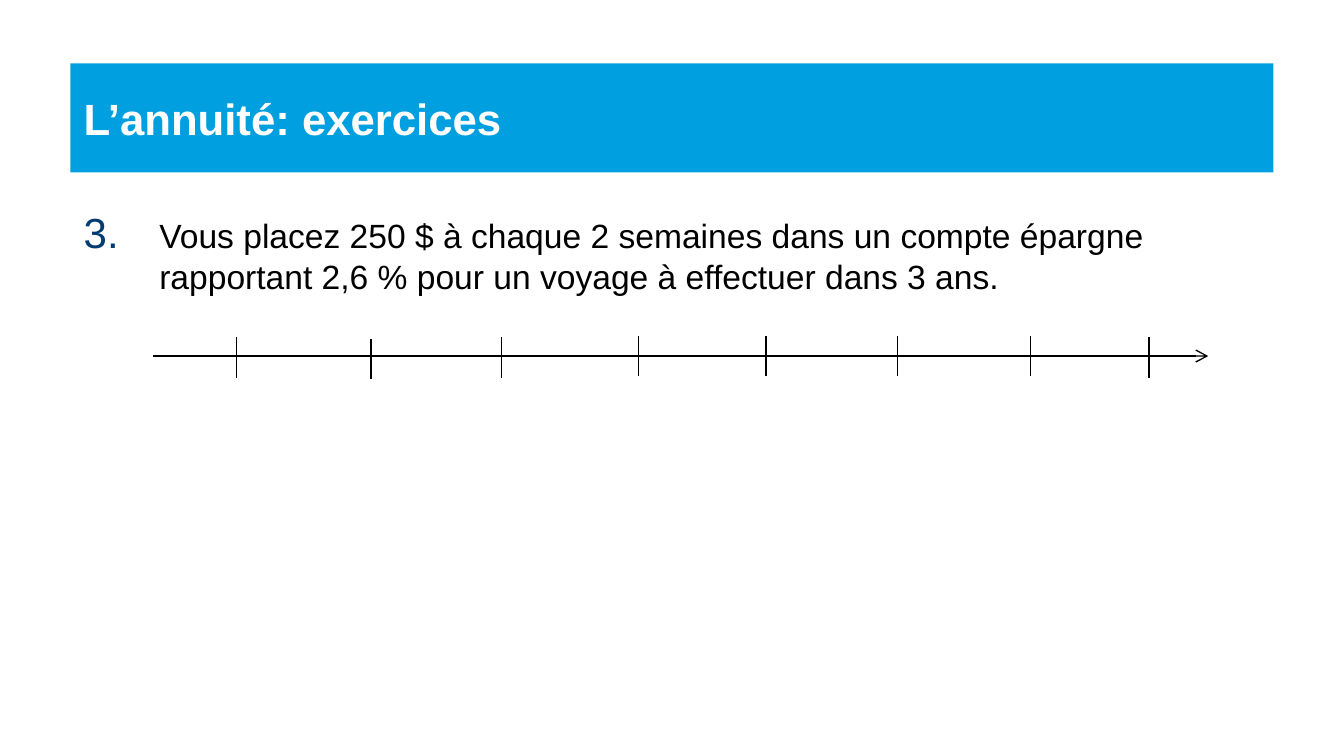
from lxml import etree
from pptx import Presentation
from pptx.dml.color import RGBColor
from pptx.enum.shapes import MSO_CONNECTOR, MSO_SHAPE
from pptx.enum.text import MSO_ANCHOR, PP_ALIGN
from pptx.oxml.ns import qn
from pptx.util import Inches, Pt

STRAIGHT = MSO_CONNECTOR.STRAIGHT
RECTANGLE = MSO_SHAPE.RECTANGLE
TOP, MIDDLE = MSO_ANCHOR.TOP, MSO_ANCHOR.MIDDLE
LEFT = PP_ALIGN.LEFT

THEME = {
    "font": "Arial",
    "banner": "009FDF",
    "title": "FFFFFF",
    "body": "000000",
    "number": "003C71",
    "line": "000000",
    "title_size": 23.4,
    "body_size": 18,
    "line_width": 0.75,
}

deck = Presentation()
deck.slide_width = Inches(10)
deck.slide_height = deck.slide_width * 9 // 16
page = deck.slides.add_slide(deck.slide_layouts[6])
column = deck.slide_width / 100
row = deck.slide_height / 100


def write(box, text, *, size, color, bold=False, anchor=TOP):
    frame = box.text_frame
    frame.word_wrap = True
    frame.vertical_anchor = anchor
    para = frame.paragraphs[0]
    para.alignment = LEFT
    span = para.add_run()
    span.text = text
    span.font.name = THEME["font"]
    span.font.size = Pt(size)
    span.font.bold = bold
    span.font.color.rgb = RGBColor.from_string(color)
    return para


def draw_line(left, top, right, bottom):
    line = page.shapes.add_connector(
        STRAIGHT, int(left * column), int(top * row), int(right * column), int(bottom * row)
    )
    line.line.color.rgb = RGBColor.from_string(THEME["line"])
    line.line.width = Pt(THEME["line_width"])
    etree.SubElement(line._element.spPr, qn("a:effectLst"))
    return line


banner = page.shapes.add_shape(
    RECTANGLE, int(5.24 * column), int(8.4 * row), int(89.5 * column), int(14.4 * row)
)
banner.shadow.inherit = False
banner.fill.solid()
banner.fill.fore_color.rgb = RGBColor.from_string(THEME["banner"])
banner.line.fill.background()
write(
    banner,
    "L’annuité: exercices",
    size=THEME["title_size"],
    color=THEME["title"],
    bold=True,
    anchor=MIDDLE,
)

question = page.shapes.add_textbox(
    int(5.24 * column), int(27.6 * row), int(89.5 * column), int(55.8 * row)
)
para = write(
    question,
    "Vous placez 250 $ à chaque 2 semaines dans un compte épargne "
    "rapportant 2,6 % pour un voyage à effectuer dans 3 ans.",
    size=THEME["body_size"],
    color=THEME["body"],
)
properties = para._p.get_or_add_pPr()
indent = int(5.63 * column)
properties.set("marL", str(indent))
properties.set("indent", str(-indent))
number_color = etree.SubElement(properties, qn("a:buClr"))
etree.SubElement(number_color, qn("a:srgbClr"), val=THEME["number"])
etree.SubElement(properties, qn("a:buSzPct"), val="125000")
etree.SubElement(properties, qn("a:buFont"), typeface=THEME["font"])
etree.SubElement(properties, qn("a:buAutoNum"), type="arabicPeriod", startAt="3")

time_axis = draw_line(11.4, 47.1, 89.9, 47.1)
etree.SubElement(time_axis.line._get_or_add_ln(), qn("a:tailEnd"), type="arrow")

tick_height = 5.33
ticks = [
    (17.6, 44.62),
    (27.6, 44.8),
    (37.3, 44.62),
    (47.5, 44.44),
    (57, 44.44),
    (66.8, 44.44),
    (76.7, 44.44),
    (85.5, 44.62),
]
for left, top in ticks:
    draw_line(left, top, left, top + tick_height)

deck.save("out.pptx")
